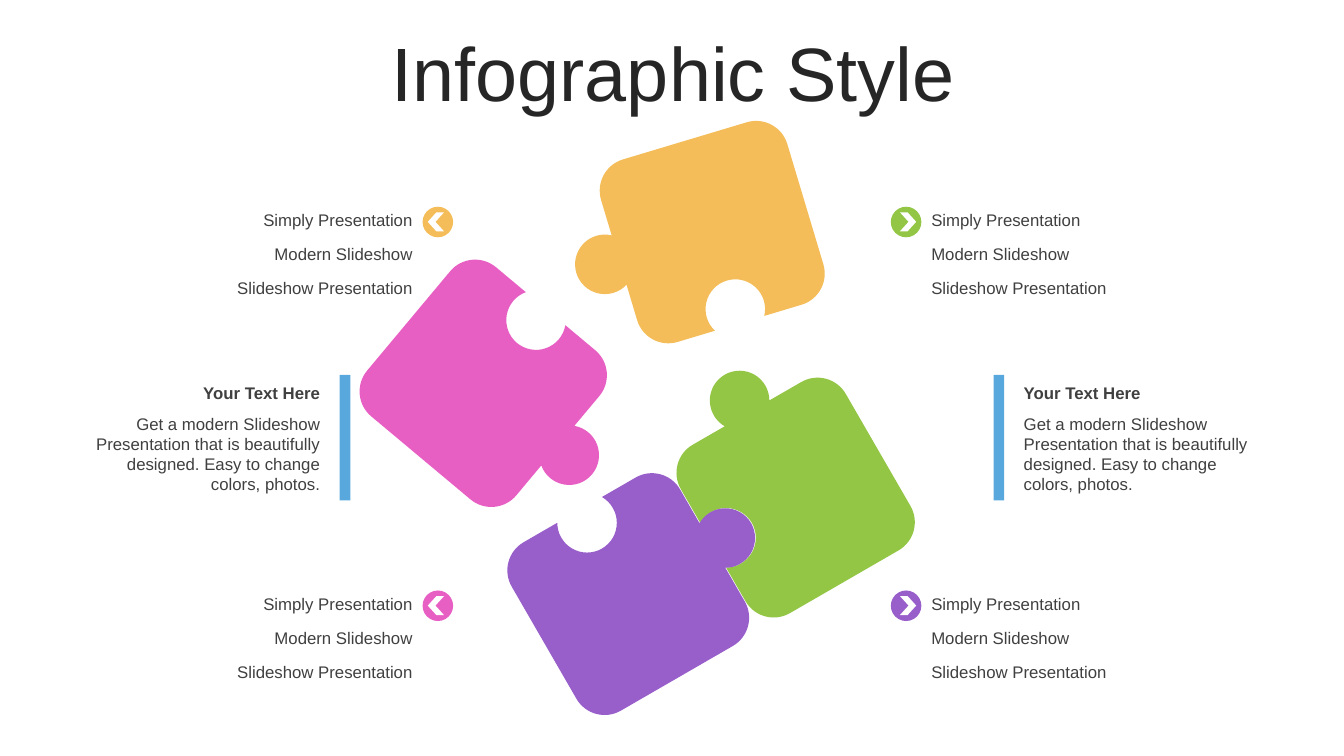
import math
from dataclasses import dataclass

import lxml.etree
import pptx
import pptx.dml.color
import pptx.enum.shapes
import pptx.enum.text
import pptx.oxml.ns
import pptx.util

Cm = pptx.util.Cm
Kind = pptx.enum.shapes.MSO_SHAPE
Align = pptx.enum.text.PP_ALIGN
Anchor = pptx.enum.text.MSO_ANCHOR
Fit = pptx.enum.text.MSO_AUTO_SIZE
qn = pptx.oxml.ns.qn


@dataclass(frozen=True)
class Theme:
    font: str = "Arial"
    head: int = 54
    body: int = 12
    dark: str = "262626"
    ink: str = "404040"
    white: str = "FFFFFF"
    blue: str = "58A8DD"
    green: str = "92C644"
    purple: str = "985ECA"
    gold: str = "F4BD59"
    pink: str = "E85FC4"


THEME = Theme()
WIDE, HIGH = 33.87, 19.05
SIDE = 4.9      # puzzle piece, along the knob axis
CURVE = 0.82    # corner radius
KNOB = 0.75     # radius of knob and notch
LINES = ("Simply Presentation", "Modern Slideshow", "Slideshow Presentation")
NOTE = ("Get a modern Slideshow Presentation that is beautifully designed. "
        "Easy to change colors, photos.")


def color(code):
    return pptx.dml.color.RGBColor.from_string(code)


def place(left, width, flip):
    """Return the left edge, mirrored about the slide's middle if flip is set."""
    return WIDE - left - width if flip else left


def paint(shape, code):
    shape.shadow.inherit = False
    shape.fill.solid()
    shape.fill.fore_color.rgb = color(code)
    shape.line.fill.background()


def add_form(slide, kind, left, top, width, height, code):
    shape = slide.shapes.add_shape(kind, Cm(left), Cm(top), Cm(width), Cm(height))
    paint(shape, code)
    return shape


def add_text(slide, text, left, top, width, height, align, size=THEME.body,
             code=THEME.ink, bold=False, anchor=Anchor.TOP, fit=Fit.SHAPE_TO_FIT_TEXT):
    box = slide.shapes.add_textbox(Cm(left), Cm(top), Cm(width), Cm(height))
    frame = box.text_frame
    frame.word_wrap = True
    frame.auto_size = fit
    frame.vertical_anchor = anchor
    frame.text = text
    para = frame.paragraphs[0]
    para.alignment = align
    font = para.runs[0].font
    font.name = THEME.font
    font.size = pptx.util.Pt(size)
    font.bold = bold
    font.color.rgb = color(code)
    return para


def arc(x, y, radius, start, end, count=1):
    """Return a start point, then two handles and an end for each Bezier part."""
    step = math.radians(end - start) / count
    pull = 4 / 3 * math.tan(step / 4)

    def spot(turn, shift):
        cos, sin = math.cos(turn), math.sin(turn)
        return Cm(x + radius * (cos - shift * sin)), Cm(y + radius * (sin + shift * cos))

    first = math.radians(start)
    points = [spot(first, 0)]
    for i in range(count):
        turn = first + i * step
        points += [spot(turn, pull), spot(turn + step, -pull), spot(turn + step, 0)]
    return points


def outline(depth):
    """Return the arcs of a piece with its notch on top and knob at right."""
    x, y = SIDE / 2, depth / 2
    cx, cy = x - CURVE, y - CURVE
    return (arc(-cx, -cy, CURVE, 180, 270),
            arc(0, KNOB / 2 - y, KNOB, 210, -30, 4),
            arc(cx, -cy, CURVE, 270, 360),
            arc(x + KNOB / 2, 0, KNOB, 240, 480, 4),
            arc(cx, cy, CURVE, 0, 90),
            arc(-cx, cy, CURVE, 90, 180))


def bend(shape, arcs):
    """Turn the straight steps inside each arc into Bezier curves."""
    track = shape._element.find(".//" + qn("a:path"))
    steps = iter(list(track))
    for part in arcs:
        next(steps)
        for _ in range(len(part) // 3):
            trio = [next(steps) for _ in range(3)]
            curve = lxml.etree.Element(qn("a:cubicBezTo"))
            trio[0].addprevious(curve)
            for step in trio:
                curve.append(step[0])
                track.remove(step)


def add_piece(slide, x, y, depth, angle, code):
    arcs = outline(depth)
    points = [point for part in arcs for point in part]
    maker = slide.shapes.build_freeform(*points[0])
    maker.add_line_segments(points[1:], close=True)
    shape = maker.convert_to_shape()
    bend(shape, arcs)
    shape.left = Cm(x) - shape.width // 2
    shape.top = Cm(y) - shape.height // 2
    shape.rotation = angle
    paint(shape, code)


def add_list(slide, top, flip, code):
    """Add a round arrow marker and the three lines beside it."""
    align = Align.RIGHT if flip else Align.LEFT
    add_form(slide, Kind.OVAL, place(22.45, 0.77, flip), top + 0.06, 0.77, 0.77, code)
    arrow = add_form(slide, Kind.CHEVRON, place(22.68, 0.41, flip), top + 0.2,
                     0.41, 0.48, THEME.white)
    arrow.adjustments[0] = 0.53
    arrow.rotation = 180 if flip else 0
    for i, line in enumerate(LINES):
        add_text(slide, line, place(23.22, 5.36, flip), top + 0.86 * i,
                 5.36, 0.77, align, anchor=Anchor.MIDDLE)


def add_note(slide, flip):
    """Add a blue bar with a bold heading and a paragraph."""
    align = Align.RIGHT if flip else Align.LEFT
    left = place(25.55, 6.45, flip)
    add_form(slide, Kind.RECTANGLE, place(25.04, 0.27, flip), 9.45, 0.27, 3.16, THEME.blue)
    add_text(slide, "Your Text Here", left, 9.53, 6.45, 0.77, align, bold=True)
    add_text(slide, NOTE, left, 10.29, 6.45, 2.31, align)


def main():
    deck = pptx.Presentation()
    deck.slide_width, deck.slide_height = Cm(WIDE), Cm(HIGH)
    slide = deck.slides.add_slide(deck.slide_layouts[6])

    title = add_text(slide, "Infographic Style", 0.89, 0.94, 32.16, 2.01, Align.CENTER,
                     THEME.head, THEME.dark, anchor=Anchor.MIDDLE, fit=Fit.NONE)
    title.line_spacing = 0.9

    for piece in ((19.77, 12.05, 4.8, 240, THEME.green),
                  (16.32, 14.69, 4.9, 330, THEME.purple),
                  (17.41, 6.01, 4.8, 163.3, THEME.gold),
                  (12.61, 10.02, 4.9, 39.9, THEME.pink)):
        add_piece(slide, *piece)

    for flip, upper, lower in ((False, THEME.green, THEME.purple),
                               (True, THEME.gold, THEME.pink)):
        add_list(slide, 5.15, flip, upper)
        add_list(slide, 14.82, flip, lower)
        add_note(slide, flip)

    deck.save("out.pptx")


if __name__ == "__main__":
    main()
